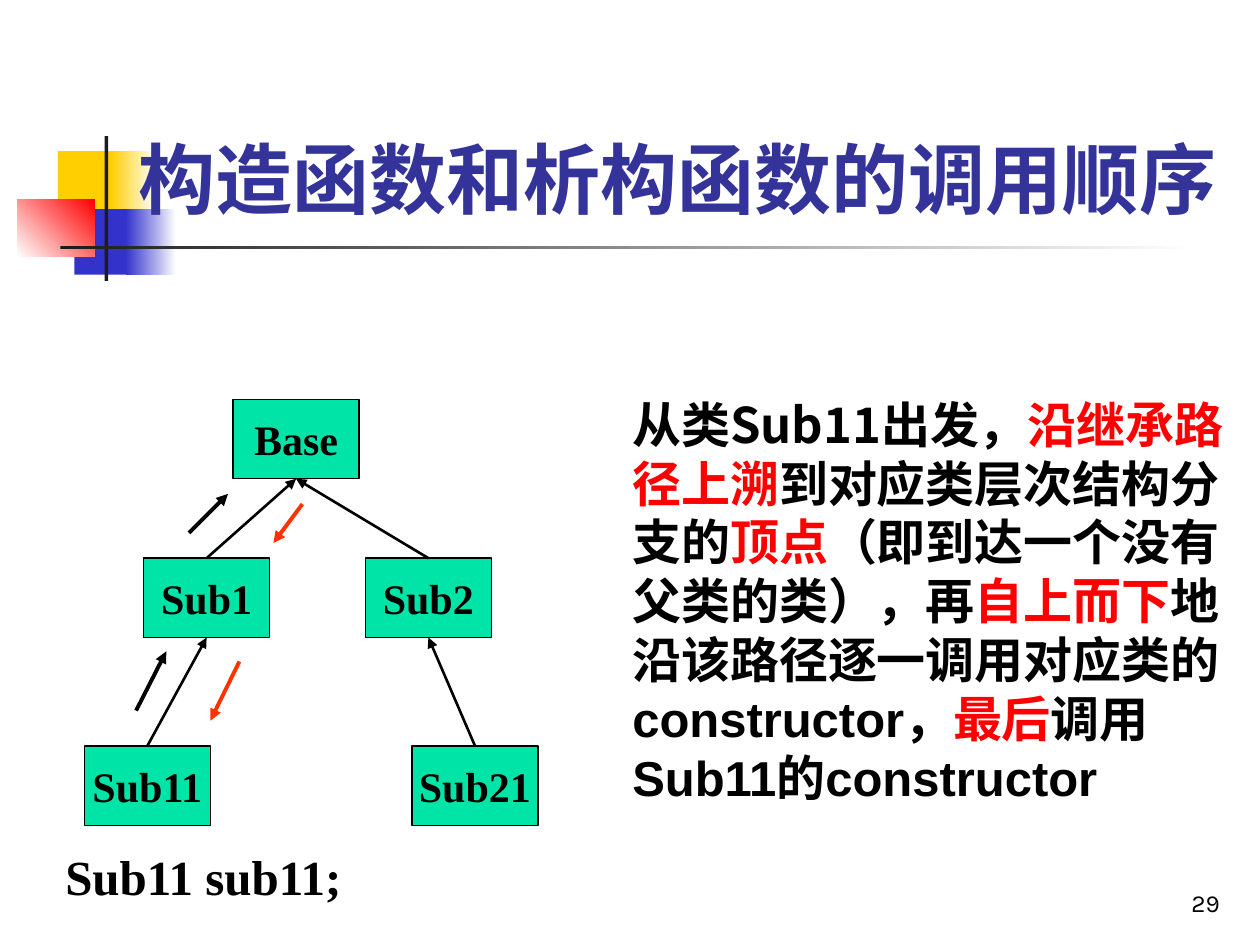
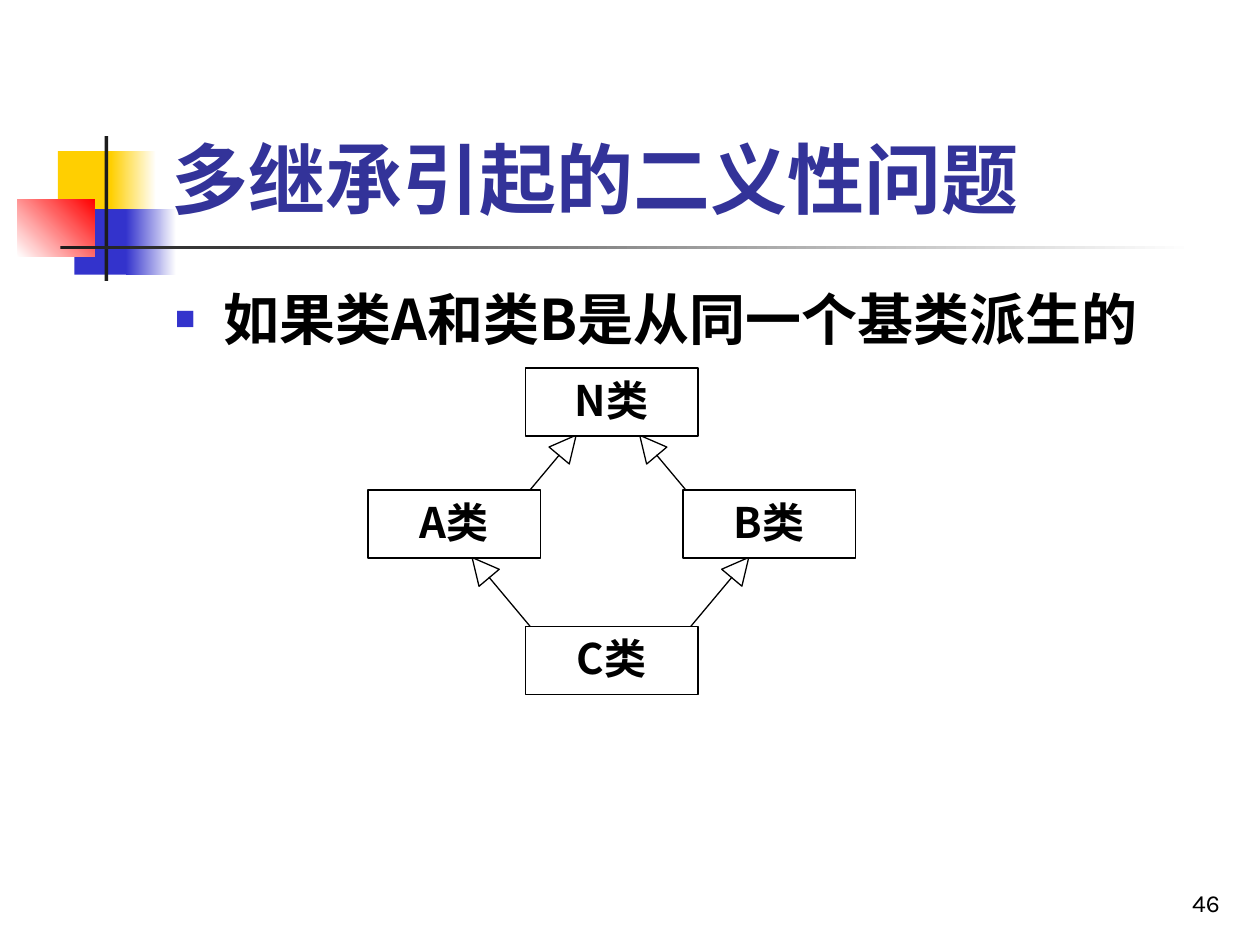
from dataclasses import dataclass
from math import cos, radians, sin

from lxml.etree import SubElement
from pptx import Presentation
from pptx.dml.color import RGBColor
from pptx.enum.shapes import MSO_CONNECTOR as Connector, MSO_SHAPE as Preset
from pptx.enum.text import MSO_ANCHOR as Anchor, MSO_AUTO_SIZE as AutoSize, PP_ALIGN as Align
from pptx.oxml.ns import qn
from pptx.util import Inches, Pt


@dataclass(frozen=True)
class Theme:
    black: str = "000000"
    white: str = "FFFFFF"
    title: str = "333399"
    yellow: str = "FFCF01"
    blue: str = "3333CC"
    red: str = "FF0000"
    bar: str = "1C1C1C"
    class_fill: str = "00E4A8"
    down: str = "FF3300"
    heading_font: str = "Karla"
    cjk_font: str = "Noto Sans CJK SC"
    latin_font: str = "Arial"
    code_font: str = "Times New Roman"
    title_size: int = 44
    bullet_size: int = 32
    text_size: int = 28
    node_size: int = 24
    number_size: int = 14


T = Theme()

# Shared decoration: area, first colour, second colour (or None), angle
DECORATION = [
    ((0.46, 1.2, 0.48, 0.52), T.yellow, None, 0),
    ((0.88, 1.2, 0.36, 0.52), T.yellow, T.white, 0),
    ((0.59, 1.66, 0.46, 0.52), T.blue, None, 0),
    ((1, 1.66, 0.4, 0.52), T.blue, T.white, 0),
    ((0.14, 1.58, 0.61, 0.46), T.white, T.red, 45),
    ((0.83, 1.08, 0.03, 1.15), T.bar, None, 0),
    ((0.48, 1.95, 9, 0.03), T.bar, T.white, 0),
]
NUMBER_AREA = (7.7, 6.83, 2.08, 0.5)

# Call order slide
ORDER_TITLE = "构造函数和析构函数的调用顺序"
CLASS_SIZE = (1, 0.63)
CLASSES = {
    "Base": (1.85, 3.17),
    "Sub1": (1.14, 4.43),
    "Sub2": (2.9, 4.43),
    "Sub11": (0.67, 5.92),
    "Sub21": (3.27, 5.92),
}
PARENTS = [("Sub11", "Sub1"), ("Sub1", "Base"), ("Sub2", "Base"), ("Sub21", "Sub2")]
CALL_STEPS = [
    ((1.08, 5.64), (1.32, 5.17), T.black),
    ((1.5, 4.23), (1.81, 3.92), T.black),
    ((2.4, 4), (2.17, 4.31), T.down),
    ((1.9, 5.25), (1.67, 5.72), T.down),
]
DECLARATION = "Sub11 sub11;"
EXPLANATION = [
    ("从类Sub11出发，", T.cjk_font, T.black),
    ("沿继承路径上溯", T.cjk_font, T.red),
    ("到对应类层次结构分支的", T.cjk_font, T.black),
    ("顶点", T.cjk_font, T.red),
    ("（即到达一个没有父类的类），再", T.cjk_font, T.black),
    ("自上而下", T.cjk_font, T.red),
    ("地沿该路径逐一调用对应类的", T.cjk_font, T.black),
    ("constructor", T.latin_font, T.black),
    ("，", T.cjk_font, T.black),
    ("最后", T.cjk_font, T.red),
    ("调用", T.cjk_font, T.black),
    ("Sub11", T.latin_font, T.black),
    ("的", T.cjk_font, T.black),
    ("constructor", T.latin_font, T.black),
]

# Ambiguity slide
AMBIGUITY_TITLE = "多继承引起的二义性问题"
AMBIGUITY_POINT = "如果类A和类B是从同一个基类派生的"
DIAMOND_SIZE = (1.37, 0.54)
DIAMOND = {
    "N类": (4.17, 2.92),
    "A类": (2.92, 3.89),
    "B类": (5.42, 3.89),
    "C类": (4.17, 4.97),
}
# Base class, offset of the tip from its centre, tilt in degrees
GENERALIZATIONS = [("N类", -0.28, 40), ("N类", 0.22, -40), ("A类", 0.14, -40), ("B类", -0.16, 40)]
TIP_SIZE, STEM_LENGTH = 0.21, 0.64


def inches(values):
    return [Inches(round(value, 2)) for value in values]


def style(font, name, size, color=T.black, bold=True):
    font.size, font.bold, font.name = Pt(size), bold, name
    font.color.rgb = RGBColor.from_string(color)
    SubElement(font._rPr, qn("a:ea"), typeface=T.cjk_font)


def add_panel(slide, area, fill, preset=Preset.RECTANGLE, outline=True):
    panel = slide.shapes.add_shape(preset, *inches(area))
    panel.shadow.inherit = False
    panel.fill.solid()
    panel.fill.fore_color.rgb = RGBColor.from_string(fill)
    if outline:
        panel.line.color.rgb = RGBColor.from_string(T.black)
        panel.line.width = Pt(0.75)
    else:
        panel.line.fill.background()
    return panel


def add_node(slide, label, area, fill, font, anchor, wrap):
    node = add_panel(slide, area, fill)
    frame = node.text_frame
    frame.text, frame.vertical_anchor, frame.word_wrap = label, anchor, wrap
    frame.paragraphs[0].alignment = Align.CENTER
    style(frame.paragraphs[0].font, font, T.node_size)
    return node


def add_line(slide, start, end, color=T.black, width=0.75, arrow=False):
    line = slide.shapes.add_connector(Connector.STRAIGHT, *inches((*start, *end)))
    line.line.color.rgb = RGBColor.from_string(color)
    line.line.width = Pt(width)
    if arrow:
        SubElement(line.line._get_or_add_ln(), qn("a:tailEnd"), type="triangle")
    SubElement(line._element.spPr, qn("a:effectLst"))
    return line


def place(placeholder, area):
    placeholder.left, placeholder.top, placeholder.width, placeholder.height = inches(area)
    placeholder.text_frame.auto_size = AutoSize.NONE


def add_text(slide, area, wrap=True):
    frame = slide.shapes.add_textbox(*inches(area)).text_frame
    frame.word_wrap = wrap
    return frame


def decorate_master(prs, slide):
    """Build the decoration and put it at the back of the slide master."""
    tree = prs.slide_master.shapes._spTree
    for index, (area, first, second, angle) in enumerate(DECORATION):
        block = add_panel(slide, area, first, outline=False)
        if second:
            block.fill.gradient()
            block.fill.gradient_angle = angle
            for stop, color in zip(block.fill.gradient_stops, (first, second)):
                stop.color.rgb = RGBColor.from_string(color)
        block._element.nvSpPr.cNvPr.set("id", str(100 + index))
        tree.insert(2 + index, block._element)


def add_slide(prs, layout, title, title_area, number):
    slide = prs.slides.add_slide(prs.slide_layouts[layout])
    heading = slide.shapes.title
    place(heading, title_area)
    frame = heading.text_frame
    frame.text, frame.vertical_anchor = title, Anchor.BOTTOM
    frame.paragraphs[0].alignment = Align.LEFT
    style(frame.paragraphs[0].font, T.heading_font, T.title_size, T.title)

    footer = add_text(slide, NUMBER_AREA)
    footer.text, footer.vertical_anchor = number, Anchor.BOTTOM
    footer.paragraphs[0].alignment = Align.RIGHT
    style(footer.paragraphs[0].font, T.heading_font, T.number_size, bold=False)
    return slide


def build_call_order(prs):
    slide = add_slide(prs, 5, ORDER_TITLE, (1, 0.23, 9, 1.6), "29")
    for start, end, color in CALL_STEPS:
        add_line(slide, start, end, color, 2.25, arrow=True)

    declaration = add_text(slide, (0.42, 6.67, 2.83, 0.57), wrap=False)
    declaration.text = DECLARATION
    style(declaration.paragraphs[0].font, T.code_font, T.text_size)

    explanation = add_text(slide, (4.92, 3.08, 5.08, 3.37)).paragraphs[0]
    for words, font, color in EXPLANATION:
        run = explanation.add_run()
        run.text = words
        style(run.font, font, T.text_size, color)

    # Class tree: each arrow runs from a child's top to its parent's bottom
    nodes = {
        name: add_node(slide, name, (*corner, *CLASS_SIZE), T.class_fill,
                       T.code_font, Anchor.MIDDLE, False)
        for name, corner in CLASSES.items()
    }
    for child, parent in PARENTS:
        link = add_line(slide, (0, 0), (1, 1), width=1.5, arrow=True)
        link.begin_connect(nodes[child], 0)
        link.end_connect(nodes[parent], 2)
    return slide


def build_ambiguity(prs):
    slide = add_slide(prs, 1, AMBIGUITY_TITLE, (1.26, 0.23, 8.52, 1.6), "46")
    body = slide.placeholders[1]
    place(body, (1.29, 2.21, 8.5, 5.04))
    body.text_frame.text = AMBIGUITY_POINT
    point = body.text_frame.paragraphs[0]
    point.space_before = Pt(0)
    properties = point._p.get_or_add_pPr()
    properties.set("marL", str(Inches(0.38)))
    properties.set("indent", str(Inches(-0.38)))
    bullet_color = SubElement(properties, qn("a:buClr"))
    SubElement(bullet_color, qn("a:srgbClr"), val=T.blue)
    SubElement(properties, qn("a:buSzPct"), val="60000")
    SubElement(properties, qn("a:buChar"), char="■")
    style(point.font, T.cjk_font, T.bullet_size)

    # Hollow arrows: a tilted triangle with a stem from the middle of its base
    width, height = DIAMOND_SIZE
    for base, offset, tilt in GENERALIZATIONS:
        left, top = DIAMOND[base]
        tip = (left + width / 2 + offset, top + height - 0.01)
        back = (-sin(radians(tilt)), cos(radians(tilt)))

        def along(distance):
            return [start + step * distance for start, step in zip(tip, back)]

        x, y = along(TIP_SIZE / 2)
        area = (x - TIP_SIZE / 2, y - TIP_SIZE / 2, TIP_SIZE, TIP_SIZE)
        add_panel(slide, area, T.white, Preset.ISOSCELES_TRIANGLE).rotation = tilt
        add_line(slide, along(TIP_SIZE), along(TIP_SIZE + STEM_LENGTH))
    for name, corner in DIAMOND.items():
        add_node(slide, name, (*corner, *DIAMOND_SIZE), T.white, T.cjk_font, Anchor.TOP, True)


def main():
    prs = Presentation()
    prs.slide_width, prs.slide_height = Inches(10), Inches(7.5)
    call_order = build_call_order(prs)
    decorate_master(prs, call_order)
    build_ambiguity(prs)
    prs.save("out.pptx")


if __name__ == "__main__":
    main()
